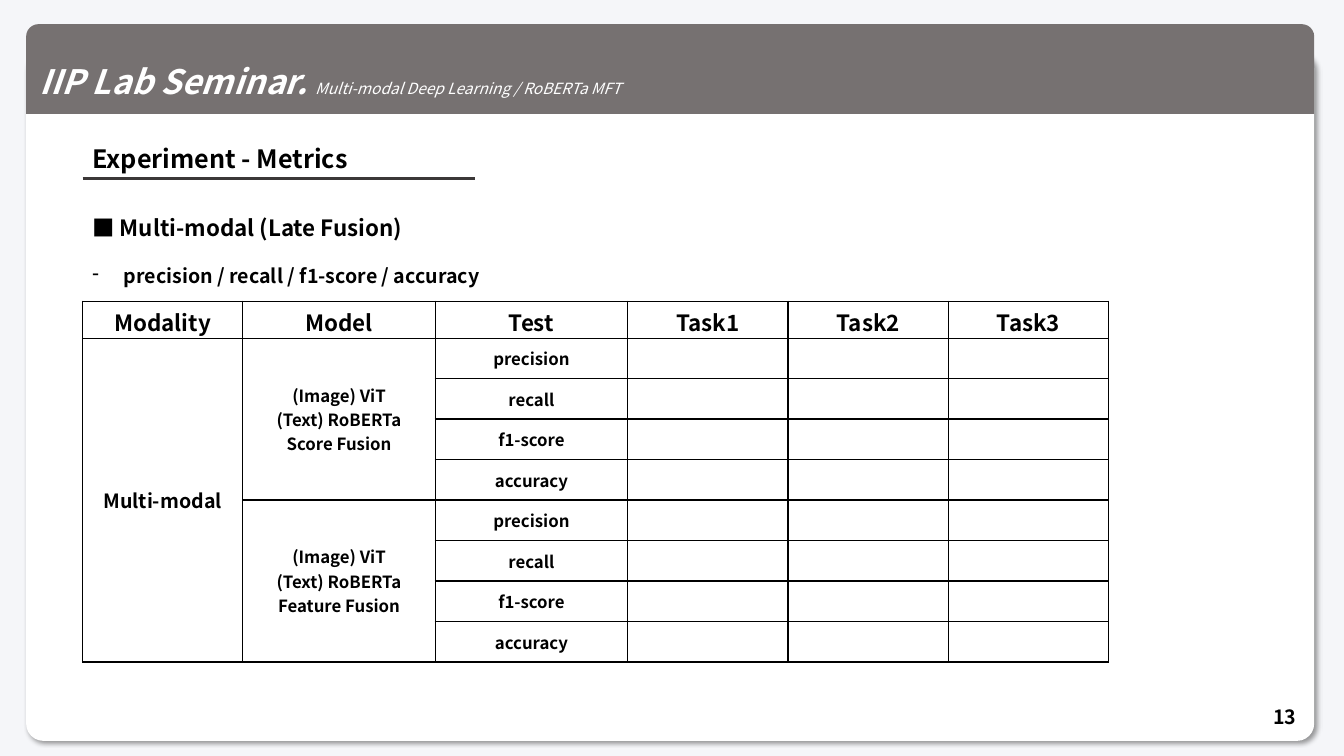
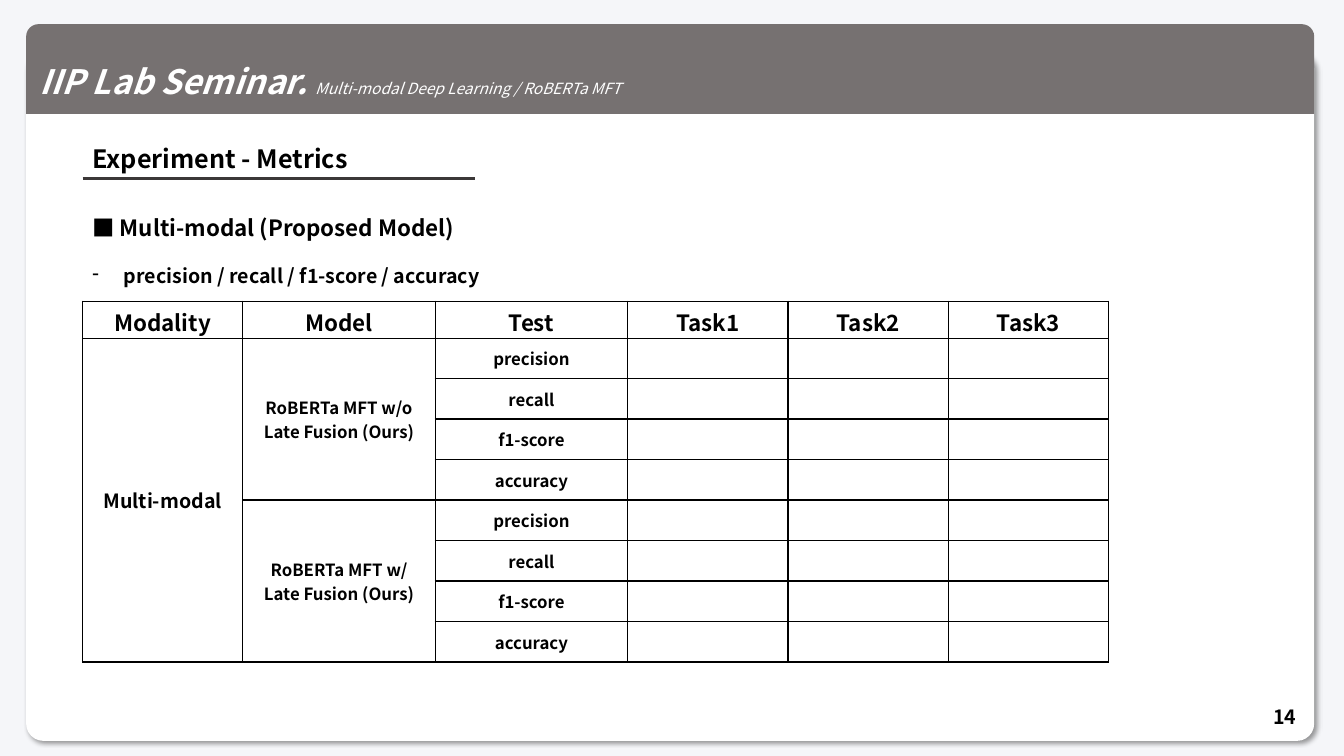
from pptx import Presentation
from pptx import util as u
from pptx.dml.color import RGBColor
from pptx.enum import shapes, text
from pptx.oxml import parse_xml
from pptx.oxml.ns import nsdecls

FONT = "Noto Sans CJK KR"
BACKDROP = RGBColor(0xF5, 0xF6, 0xF9)
WHITE = RGBColor(0xFF, 0xFF, 0xFF)
BLACK = RGBColor(0, 0, 0)
BAND = RGBColor(0x76, 0x71, 0x71)
RULE = RGBColor(0x3B, 0x38, 0x38)

# Shared positions, in centimetres
EDGE, EDGE_WIDTH = 0.66, 32.46
LEFT, TEXT_WIDTH = 2.08, 29.69

# Table grid, in centimetres
COLUMNS = [4.04, 4.85, 4.85, 4.04, 4.04, 4.04]
HEADER_HEIGHT, ROW_HEIGHT = 0.93, 1.02
HEADINGS = ["Modality", "Model", "Test", "Task1", "Task2", "Task3"]
METRICS = ["precision", "recall", "f1-score", "accuracy"]
THIN, THICK = u.Pt(1), u.Pt(2.25)


def box(left, top, width, height):
    return u.Cm(left), u.Cm(top), u.Cm(width), u.Cm(height)


def style(p, size, color=BLACK, bold=True, italic=False):
    for r in p.runs:
        f = r.font
        f.name, f.size, f.bold, f.italic = FONT, u.Pt(size), bold, italic
        f.color.rgb = color
        r._r.get_or_add_rPr().append(
            parse_xml(f'<a:ea {nsdecls("a")} typeface="{FONT}"/>'))


def add_text(slide, place, lines, fit=True):
    """Add a text box; lines holds (text, size) pairs."""
    tf = slide.shapes.add_textbox(*box(*place)).text_frame
    tf.word_wrap = True
    if fit:
        tf.auto_size = text.MSO_AUTO_SIZE.SHAPE_TO_FIT_TEXT
    tf.text = "\n".join(line for line, _ in lines)
    for p, (_, size) in zip(tf.paragraphs, lines):
        style(p, size)
    return tf


def add_panel(slide, kind, place, color, *adjustments):
    sp = slide.shapes.add_shape(kind, *box(*place))
    sp.shadow.inherit = False
    sp.fill.solid()
    sp.fill.fore_color.rgb = color
    sp.line.fill.background()
    for i, value in enumerate(adjustments):
        sp.adjustments[i] = value
    return sp


def add_frame(slide, number):
    # White card with a soft shadow
    card = add_panel(slide, shapes.MSO_SHAPE.ROUNDED_RECTANGLE,
                     (EDGE, 1.32, EDGE_WIDTH, 17.35), WHITE, 0.025)
    effects = card._element.spPr.find("{*}effectLst")
    effects.append(parse_xml(
        f'<a:outerShdw {nsdecls("a")} blurRad="{u.Pt(4)}" dist="{u.Pt(3)}" '
        'dir="2700000" algn="tl" rotWithShape="0"><a:srgbClr val="000000">'
        '<a:alpha val="40000"/></a:srgbClr></a:outerShdw>'))

    # Seminar band
    band = add_panel(slide, shapes.MSO_SHAPE.ROUND_2_SAME_RECTANGLE,
                     (EDGE, 0.61, EDGE_WIDTH, 2.26), BAND, 0.137, 0)
    tf = band.text_frame
    tf.vertical_anchor = text.MSO_ANCHOR.MIDDLE
    p = tf.paragraphs[0]
    p.alignment = text.PP_ALIGN.LEFT
    p.line_spacing = 1.5
    p.add_run().text = "IIP Lab Seminar. "
    p.add_run().text = "Multi-modal Deep Learning / RoBERTa MFT"
    style(p, 24, WHITE, italic=True)
    topic = p.runs[1].font
    topic.size, topic.bold = u.Pt(11), False

    # Page number
    tf = add_text(slide, (25.3, 17.55, 7.62, 1.02), [(str(number), 14)], fit=False)
    tf.vertical_anchor = text.MSO_ANCHOR.MIDDLE
    tf.paragraphs[0].alignment = text.PP_ALIGN.RIGHT


def add_heading(slide, title):
    add_text(slide, (LEFT, 3.48, TEXT_WIDTH, 1.02), [(title, 18)])
    line = slide.shapes.add_connector(
        shapes.MSO_CONNECTOR.STRAIGHT,
        u.Cm(LEFT), u.Cm(4.5), u.Cm(11.96), u.Cm(4.5))
    line.line.color.rgb = RULE
    line.line.width = u.Pt(2.25)
    line._element.spPr.append(parse_xml(f'<a:effectLst {nsdecls("a")}/>'))


def add_topic(slide, topic):
    tf = add_text(slide, (LEFT, 5.26, TEXT_WIDTH, 2.24),
                  [(f"■ {topic}", 16),
                   ("precision / recall / f1-score / accuracy", 14)])
    p = tf.paragraphs[1]
    p.space_before = u.Pt(17)
    pPr = p._p.get_or_add_pPr()
    indent = u.Cm(0.79)
    pPr.set("marL", str(indent))
    pPr.set("indent", str(-indent))
    pPr.append(parse_xml(f'<a:buFontTx {nsdecls("a")}/>'))
    pPr.append(parse_xml(f'<a:buChar {nsdecls("a")} char="-"/>'))


def set_borders(cell, top=THIN, bottom=THIN):
    tcPr = cell._tc.get_or_add_tcPr()
    for side, width in zip("LRTB", (THIN, THIN, top, bottom)):
        tcPr.append(parse_xml(
            f'<a:ln{side} {nsdecls("a")} w="{width}"><a:solidFill>'
            f'<a:srgbClr val="{BLACK}"/></a:solidFill></a:ln{side}>'))


def fill_cell(cell, words, size):
    cell.text = words
    for p in cell.text_frame.paragraphs:
        p.alignment = text.PP_ALIGN.CENTER
        style(p, size)


def add_metrics_table(slide, models):
    block = len(METRICS)
    rows = 1 + block * len(models)
    height = HEADER_HEIGHT + ROW_HEIGHT * (rows - 1)
    table = slide.shapes.add_table(
        rows, len(COLUMNS), *box(LEFT, 7.59, sum(COLUMNS), height)).table
    table.first_row = table.horz_banding = False
    for column, width in zip(table.columns, COLUMNS):
        column.width = u.Cm(width)

    # Cell frames, with a thick line between the models
    for i, row in enumerate(table.rows):
        row.height = u.Cm(ROW_HEIGHT if i else HEADER_HEIGHT)
        for j, cell in enumerate(row.cells):
            above = j > 0 and i == block + 1
            below = j > 0 and i == block or (i, j) == (1, 1)
            set_borders(cell, THICK if above else THIN, THICK if below else THIN)
            cell.fill.background()
            cell.vertical_anchor = text.MSO_ANCHOR.MIDDLE
            cell.margin_top = u.Cm(0.1)
            cell.margin_bottom = u.Cm(0.1 if i else 0)

    # Wording
    for j, heading in enumerate(HEADINGS):
        fill_cell(table.cell(0, j), heading, 16)
    table.cell(1, 0).merge(table.cell(rows - 1, 0))
    fill_cell(table.cell(1, 0), "Multi-modal", 14)
    for k, model in enumerate(models):
        first = 1 + k * block
        table.cell(first, 1).merge(table.cell(first + block - 1, 1))
        fill_cell(table.cell(first, 1), model, 12)
        for i, metric in enumerate(METRICS, first):
            fill_cell(table.cell(i, 2), metric, 12)


def main():
    prs = Presentation()
    prs.slide_width, prs.slide_height = u.Cm(33.87), u.Cm(19.05)
    fill = prs.slide_master.background.fill
    fill.solid()
    fill.fore_color.rgb = BACKDROP

    pages = [
        ("Multi-modal (Late Fusion)",
         ["(Image) ViT\n(Text) RoBERTa\nScore Fusion",
          "(Image) ViT\n(Text) RoBERTa\nFeature Fusion"]),
        ("Multi-modal (Proposed Model)",
         ["RoBERTa MFT w/o Late Fusion (Ours)",
          "RoBERTa MFT w/ Late Fusion (Ours)"]),
    ]
    for number, (topic, models) in enumerate(pages, 13):
        slide = prs.slides.add_slide(prs.slide_layouts[6])
        add_frame(slide, number)
        add_heading(slide, "Experiment - Metrics")
        add_topic(slide, topic)
        add_metrics_table(slide, models)
    prs.save("out.pptx")


if __name__ == "__main__":
    main()
